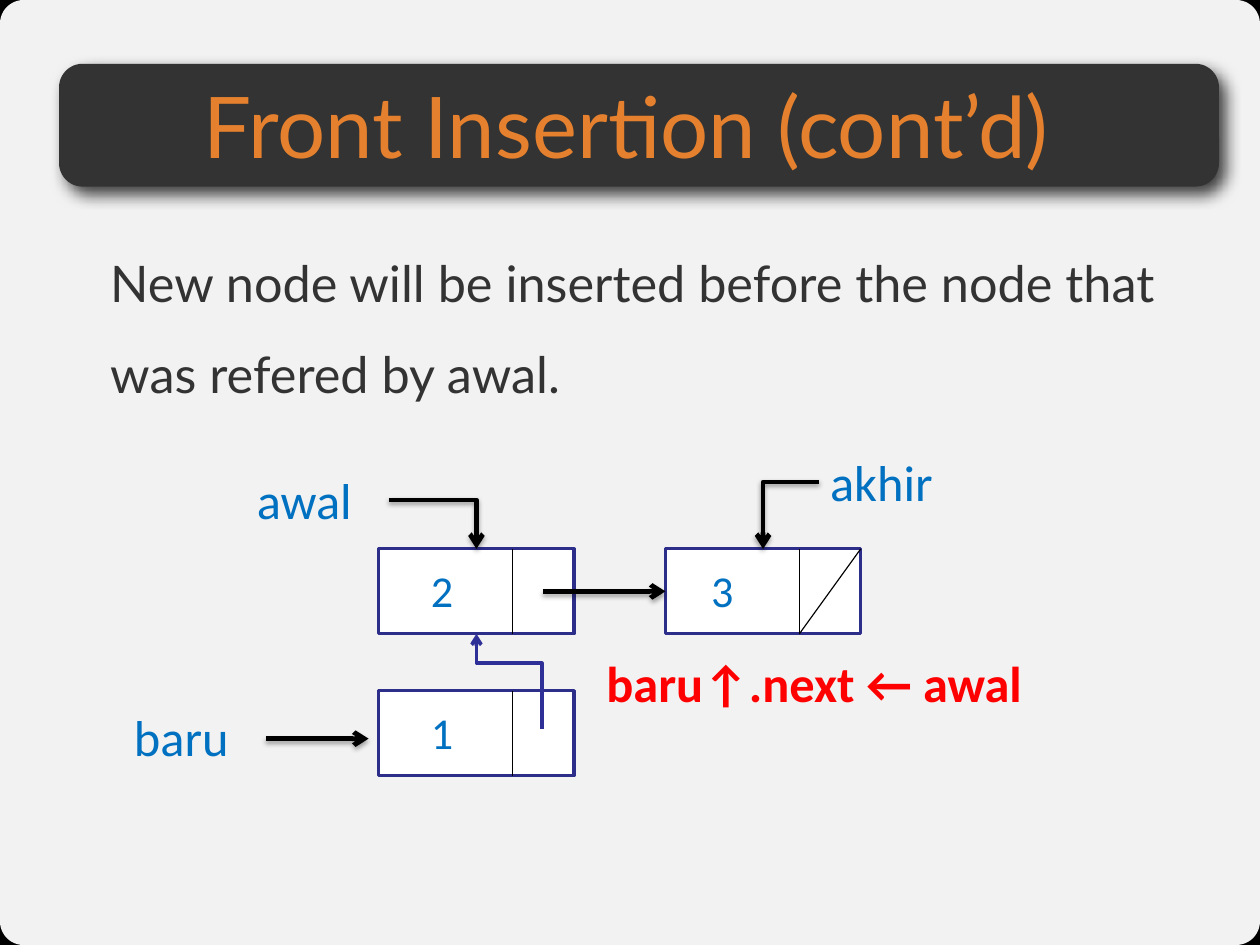
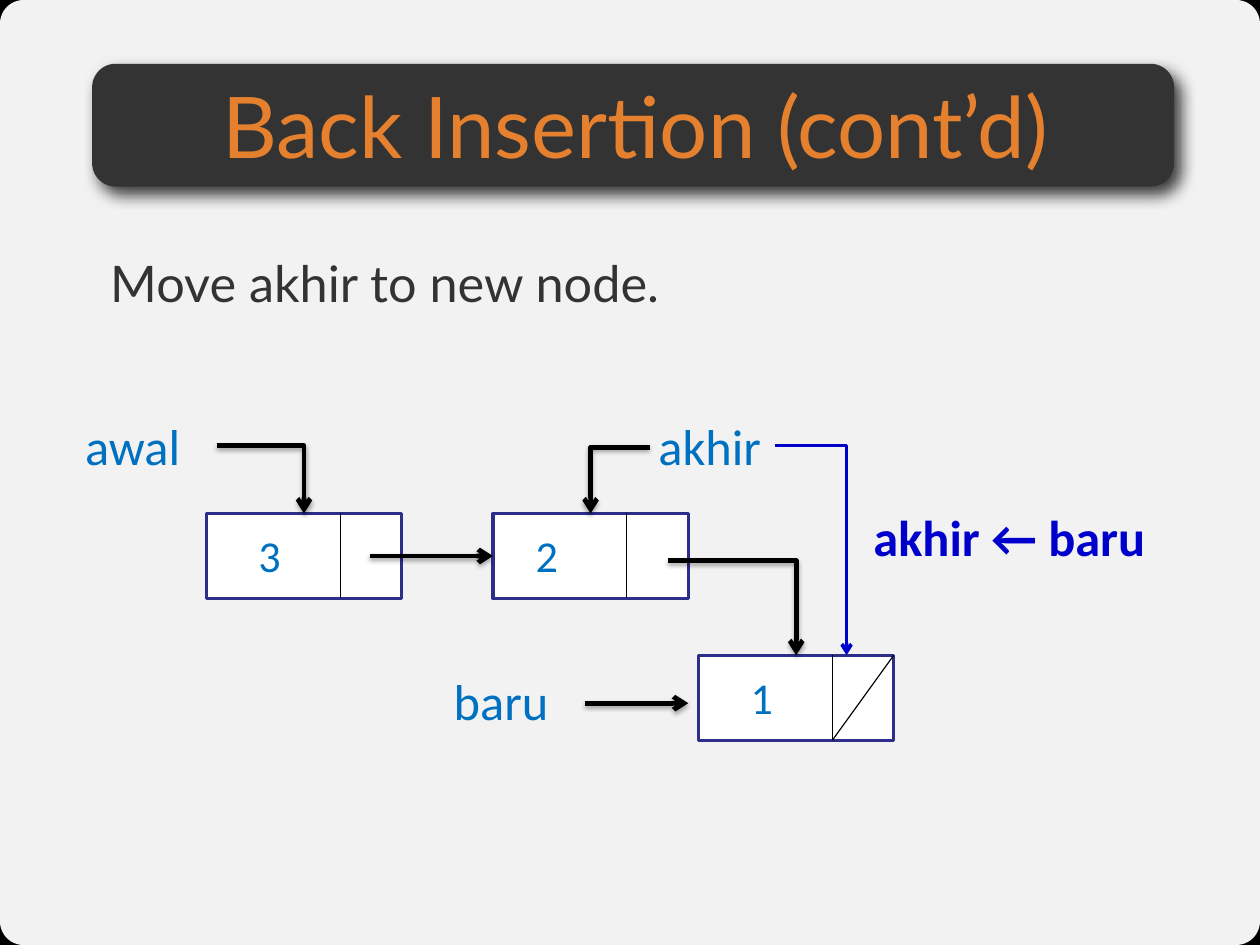
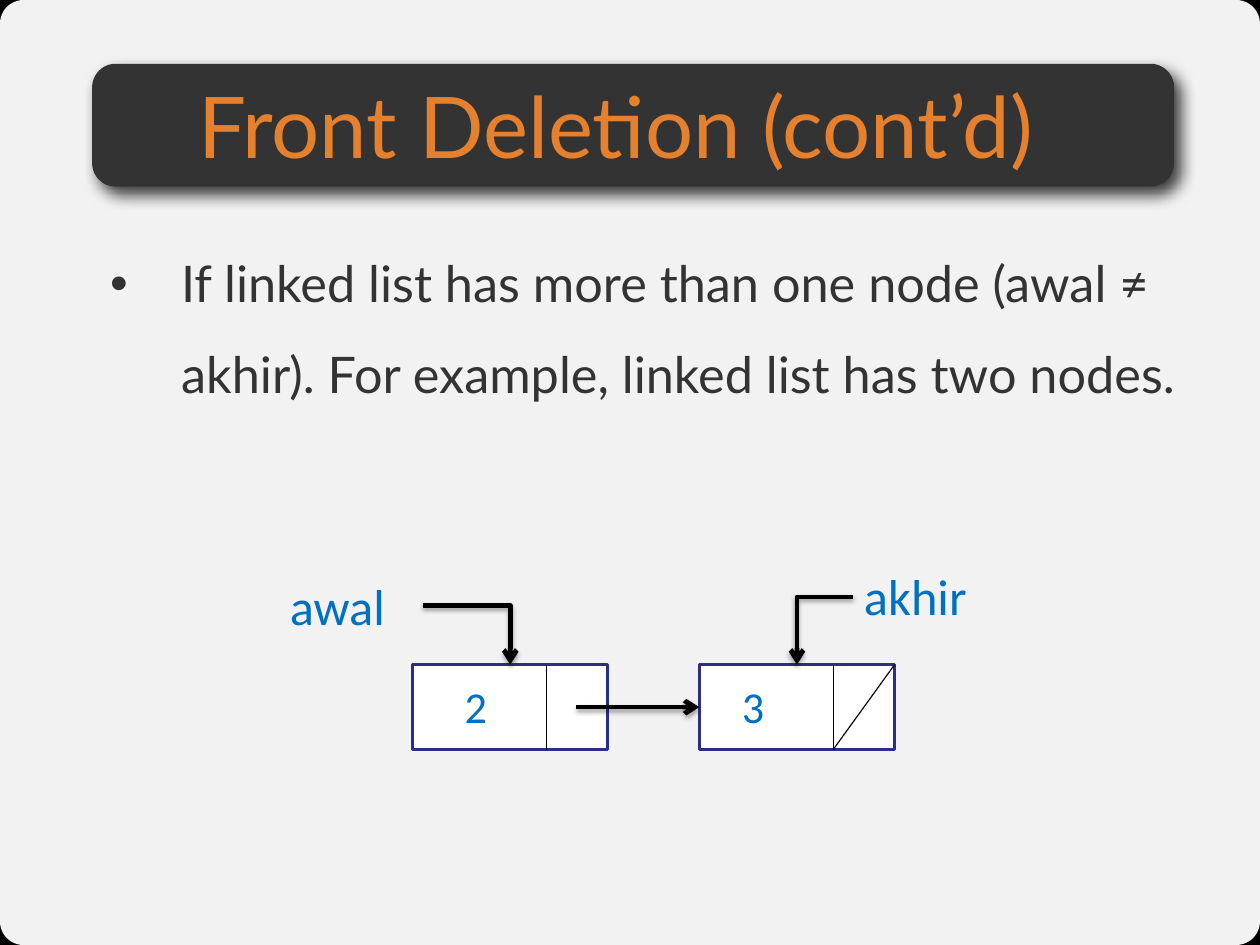
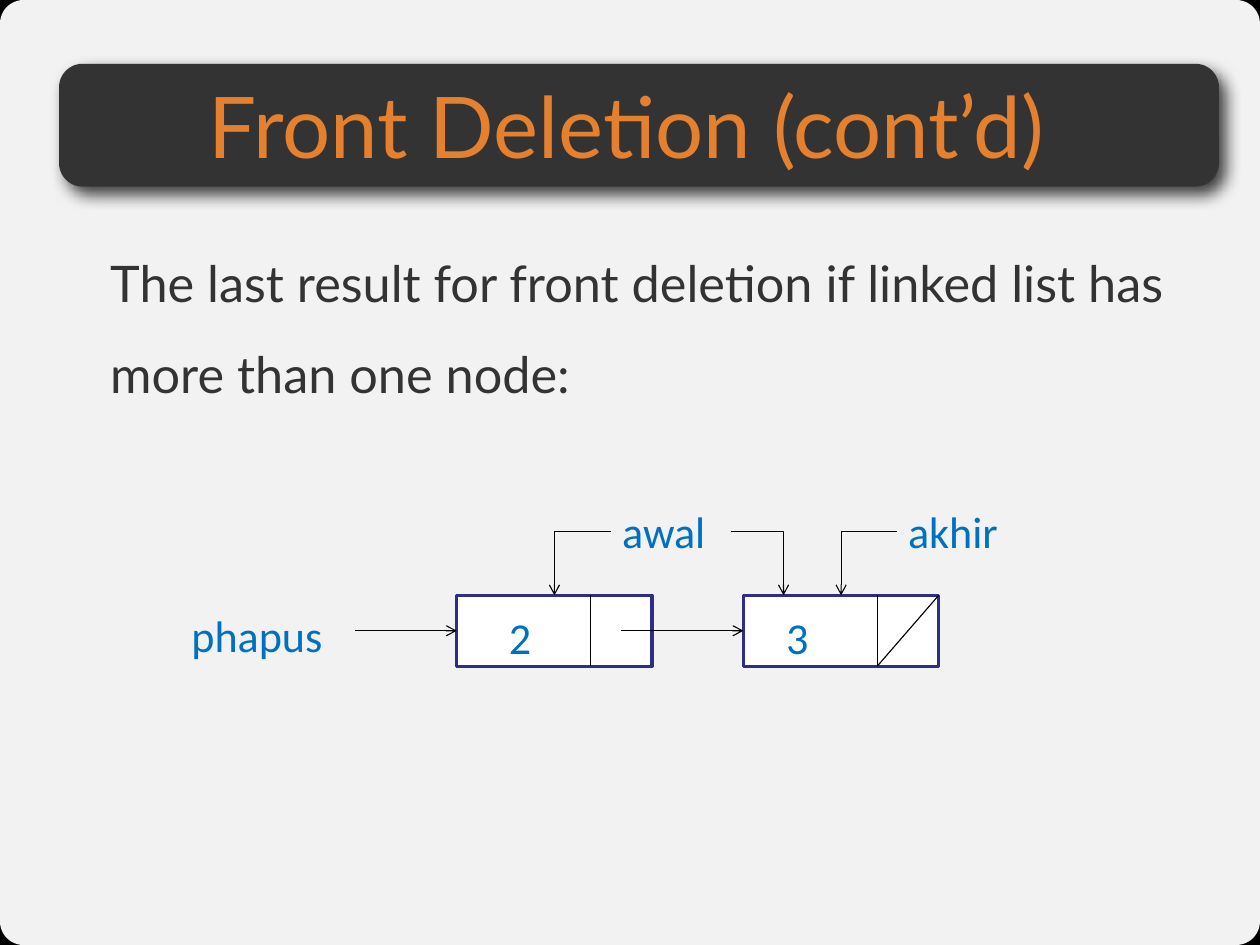
from lxml.etree import SubElement
from pptx import Presentation
from pptx.dml.color import RGBColor
from pptx.enum.shapes import MSO_CONNECTOR as Connector, MSO_SHAPE as Preset
from pptx.enum.text import MSO_ANCHOR as Anchor, MSO_AUTO_SIZE as AutoSize, PP_ALIGN as Align
from pptx.oxml.ns import qn
from pptx.util import Pt

BLACK = RGBColor(0x00, 0x00, 0x00)
WHITE = RGBColor(0xFF, 0xFF, 0xFF)
CHARCOAL = RGBColor(0x33, 0x33, 0x33)
ORANGE = RGBColor(0xE5, 0x81, 0x2E)
NAVY = RGBColor(0x2D, 0x2D, 0x8A)
INDIGO = RGBColor(0x2F, 0x2F, 0x98)
LABEL_BLUE = RGBColor(0x00, 0x70, 0xC0)
BRIGHT_BLUE = RGBColor(0x00, 0x00, 0xCC)
RED = RGBColor(0xFF, 0x00, 0x00)

HEADING_FONT, DIAGRAM_FONT = "Lato", "Calibri"
NODE_WIDTH = 124
DIVIDER = 85        # from the left of a node to its pointer cell
POINTER = 104       # from the left of a node to the start of its link
LABEL_WIDTH = 91

WIDE_BAND, WIDE_TITLE = (37.5, 736.5), (37.5, 720.5)
NARROW_BAND, NARROW_TITLE = (58.5, 687), (49, 708.5)

# nodes: value, left, top, indent of the value, ends the list
# links: from node, to node
# labels: text, left, top, width, colour, bold
# arrows: start, target (a node number or a point), bent, colour, width
SLIDES = [
    dict(
        title="Front Insertion (cont’d)", band=WIDE_BAND, title_box=WIDE_TITLE,
        body="New node will be inserted before the node that was refered by awal.",
        bullet=False, node_height=54, label_size=32, link_width=3,
        nodes=[("1", 240.5, 438.5, 26, False), ("2", 240.5, 348.5, 26, False),
               ("3", 422.5, 348.5, 22, True)],
        links=[(1, 2)],
        labels=[("baru", 78, 445, LABEL_WIDTH, LABEL_BLUE, False),
                ("awal", 156, 294.5, LABEL_WIDTH, LABEL_BLUE, False),
                ("akhir", 520, 283, LABEL_WIDTH, LABEL_BLUE, False),
                ("baru↑.next ← awal", 378, 410.5, 318, RED, True)],
        arrows=[((169, 469), (234, 469), False, BLACK, 3),
                ((520, 306), 2, True, BLACK, 3),
                ((247, 317.5), 1, True, BLACK, 3)],
    ),
    dict(
        title="Back Insertion (cont’d)", band=NARROW_BAND, title_box=NARROW_TITLE,
        body="Move akhir to new node.",
        bullet=False, node_height=54, label_size=32, link_width=3,
        nodes=[("3", 131, 326, 26, False), ("2", 313, 326, 20, False),
               ("1", 443.5, 416, 26, True)],
        links=[(0, 1)],
        labels=[("awal", 47, 260, LABEL_WIDTH, LABEL_BLUE, False),
                ("akhir", 411, 260, LABEL_WIDTH, LABEL_BLUE, False),
                ("baru", 281, 422, LABEL_WIDTH, LABEL_BLUE, False),
                ("akhir ← baru", 547.5, 317.5, 230, BRIGHT_BLUE, True)],
        arrows=[((137.5, 283), 0, True, BLACK, 3),
                ((412.5, 284), 1, True, BLACK, 3),
                ((424, 356), 2, True, BLACK, 3),
                ((492, 283), (537.5, 416), True, BRIGHT_BLUE, 2.25),
                ((371.5, 446.5), (437, 446.5), False, BLACK, 3)],
    ),
    dict(
        title="Front Deletion (cont’d)", band=NARROW_BAND, title_box=(49, 684),
        body="If linked list has more than one node (awal ≠ akhir). "
             "For example, linked list has two nodes.",
        bullet=True, node_height=54, label_size=32, link_width=3,
        nodes=[("2", 262, 422, 26, False), ("3", 444, 422, 20, True)],
        links=[(0, 1)],
        labels=[("awal", 177, 361.5, LABEL_WIDTH, LABEL_BLUE, False),
                ("akhir", 541.5, 355.5, LABEL_WIDTH, LABEL_BLUE, False)],
        arrows=[((268.5, 384.5), 0, True, BLACK, 3),
                ((541.5, 379), 1, True, BLACK, 3)],
    ),
    dict(
        title="Front Deletion (cont’d)", band=WIDE_BAND, title_box=WIDE_TITLE,
        body="The last result for front deletion if linked list has more than one node:",
        bullet=False, node_height=45, label_size=28, link_width=0.75,
        nodes=[("2", 290, 378, 26, False), ("3", 472, 378, 20, True)],
        links=[(0, 1)],
        labels=[("phapus", 114.5, 383, 117, LABEL_BLUE, False),
                ("awal", 388, 317, LABEL_WIDTH, LABEL_BLUE, False),
                ("akhir", 569.5, 317, LABEL_WIDTH, LABEL_BLUE, False)],
        arrows=[((225.5, 400.5), 0, False, BLACK, 0.75),
                ((388, 337.5), 0, True, BLACK, 0.75),
                ((464, 337.5), (497.5, 378), True, BLACK, 0.75),
                ((569.5, 337.5), 1, True, BLACK, 0.75)],
    ),
]


def set_effects(shape, shadow=None):
    """Give the shape only this shadow (blur, distance, angle, opacity), or none."""
    effects = SubElement(shape._element.spPr, qn("a:effectLst"))
    if shadow:
        blur, distance, angle, opacity = shadow
        outer = SubElement(effects, qn("a:outerShdw"), blurRad=str(Pt(blur)),
                           dist=str(Pt(distance)), dir=str(angle * 60000),
                           algn="tl", rotWithShape="0")
        colour = SubElement(outer, qn("a:srgbClr"), val=str(BLACK))
        SubElement(colour, qn("a:alpha"), val=str(opacity * 1000))


def add_line(slide, start, end, colour, width, bent=False, arrow=True, site=None):
    """Draw a line to a point, or to a connection site of a node."""
    joined = site is not None
    stop = start if joined else end
    kind = Connector.ELBOW if bent else Connector.STRAIGHT
    line = slide.shapes.add_connector(kind, *(Pt(value) for value in (*start, *stop)))
    if joined:
        line.end_connect(end, site)
    line.line.color.rgb = colour
    line.line.width = Pt(width)
    if arrow:
        SubElement(line.line._get_or_add_ln(), qn("a:tailEnd"), type="arrow")
    set_effects(line, (3.1, 1.8, 90, 35) if width == 3 else None)
    if bent:
        properties = line._element.spPr
        properties.find(qn("a:prstGeom")).set("prst", "bentConnector2")
        if properties.xfrm.flipH:
            properties.xfrm.flipH = False
            properties.xfrm.flipV = True
            properties.xfrm.rot = 180
    return line


presentation = Presentation()
presentation.slide_width, presentation.slide_height = Pt(800), Pt(600)
background = presentation.slide_master.background.fill
background.solid()
background.fore_color.rgb = BLACK
layout = presentation.slide_layouts[1]
nodes_by_slide = []

for content in SLIDES:
    slide = presentation.slides.add_slide(layout)
    shapes = slide.shapes

    if not nodes_by_slide:
        # The rounded page belongs to the layout, so every slide shows it.
        page = shapes.add_shape(Preset.ROUNDED_RECTANGLE, 0, 0, Pt(800), Pt(600))
        page.adjustments[0] = 0.025
        page.fill.solid()
        page.fill.fore_color.rgb = WHITE
        SubElement(page._element.spPr.find(".//" + qn("a:srgbClr")), qn("a:alpha"), val="95000")
        page.line.fill.background()
        set_effects(page)
        layout.shapes._spTree.insert(2, page._element)

    # Title band, behind the title
    left, width = content["band"]
    band = shapes.add_shape(Preset.ROUNDED_RECTANGLE, Pt(left), Pt(40.5), Pt(width), Pt(78))
    band.adjustments[0] = 0.192
    band.fill.solid()
    band.fill.fore_color.rgb = CHARCOAL
    band.line.fill.background()
    set_effects(band, (10, 6, 51, 75))
    shapes._spTree.insert(2, band._element)

    # Title and body
    title, body = shapes.title, slide.placeholders[1]
    left, width = content["title_box"]
    for holder, text, box, size, colour, anchor, alignment in (
        (title, content["title"], (left, 43, width, 72), 54, ORANGE, Anchor.MIDDLE, Align.CENTER),
        (body, content["body"], (70, 141, 688, 402), 32, CHARCOAL, Anchor.TOP, Align.LEFT),
    ):
        holder.left, holder.top, holder.width, holder.height = (Pt(value) for value in box)
        frame = holder.text_frame
        frame.text = text
        frame.word_wrap = True
        frame.auto_size = AutoSize.NONE
        frame.vertical_anchor = anchor
        frame.margin_left = frame.margin_right = frame.margin_top = frame.margin_bottom = 0
        paragraph = frame.paragraphs[0]
        paragraph.alignment = alignment
        paragraph.space_before = Pt(0)
        if holder is body:
            paragraph.line_spacing = 1.5
            indent = Pt(45) if content["bullet"] else 0
            settings = paragraph._p.get_or_add_pPr()
            settings.set("marL", str(indent))
            settings.set("indent", str(-indent))
            if content["bullet"]:
                SubElement(settings, qn("a:buFont"), typeface="Arial")
                SubElement(settings, qn("a:buChar"), char="•")
            else:
                SubElement(settings, qn("a:buNone"))
        paragraph.font.name = HEADING_FONT
        paragraph.font.size = Pt(size)
        paragraph.font.color.rgb = colour

    # List nodes
    height = content["node_height"]
    texts = [(*label, content["label_size"]) for label in content["labels"]]
    nodes = []
    for value, x, y, indent, is_last in content["nodes"]:
        node = shapes.add_shape(Preset.RECTANGLE, Pt(x), Pt(y), Pt(NODE_WIDTH), Pt(height))
        node.shadow.inherit = False
        node.fill.solid()
        node.fill.fore_color.rgb = WHITE
        node.line.color.rgb = NAVY
        node.line.width = Pt(2)
        nodes.append(node)
        foot = (x + DIVIDER, y + height)
        add_line(slide, (x + DIVIDER, y), foot, BLACK, 0.75, arrow=False)
        if is_last:
            add_line(slide, (x + NODE_WIDTH, y), foot, BLACK, 0.75, arrow=False)
        texts.append((value, x + indent, y + 6, 45, LABEL_BLUE, False, 28))
    nodes_by_slide.append(nodes)

    # Links and pointers
    for source, target in content["links"]:
        x, y = content["nodes"][source][1:3]
        add_line(slide, (x + POINTER, y + height / 2), nodes[target], BLACK,
                 content["link_width"], site=1)
    for start, target, bent, colour, width in content["arrows"]:
        if isinstance(target, int):
            add_line(slide, start, nodes[target], colour, width, bent, site=0 if bent else 1)
        else:
            add_line(slide, start, target, colour, width, bent)

    # Labels and node values
    for text, x, y, width, colour, bold, size in texts:
        box = shapes.add_textbox(Pt(x), Pt(y), Pt(width), Pt(46 if size == 32 else 41))
        box.text_frame.word_wrap = True
        paragraph = box.text_frame.paragraphs[0]
        paragraph.text = text
        paragraph.font.name = DIAGRAM_FONT
        paragraph.font.size = Pt(size)
        paragraph.font.bold = bold
        paragraph.font.color.rgb = colour

# The new node of the first slide points up to the old first node.
new_link = add_line(presentation.slides[0], (344, 463), nodes_by_slide[0][1], INDIGO, 2.25,
                    bent=True, site=2)
new_link.left, new_link.top, new_link.width, new_link.height = Pt(293), Pt(412), Pt(60.5), Pt(41.5)
properties = new_link._element.spPr
properties.xfrm.flipH, properties.xfrm.flipV, properties.xfrm.rot = False, True, 270
geometry = properties.find(qn("a:prstGeom"))
geometry.set("prst", "bentConnector3")
SubElement(geometry.find(qn("a:avLst")), qn("a:gd"), name="adj1", fmla="val 69300")

presentation.save("out.pptx")
